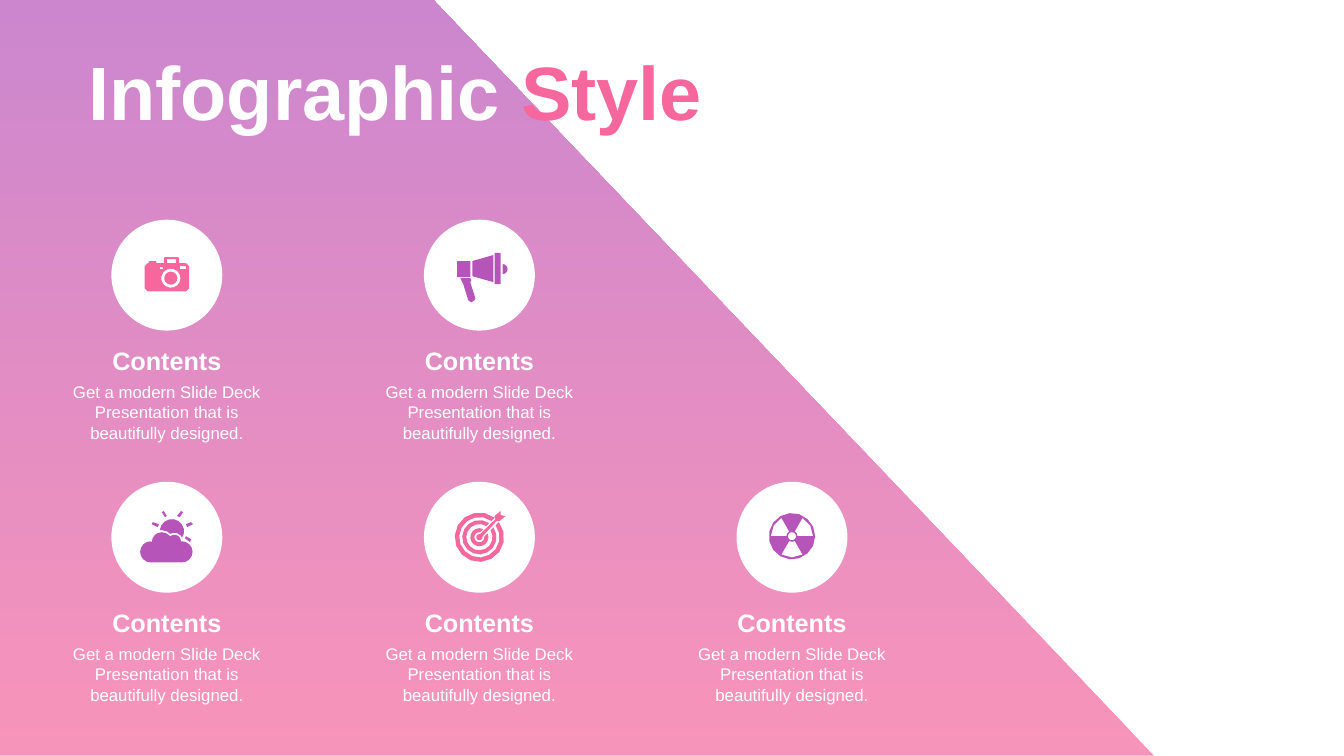
from math import asin, cos, degrees, radians, sin

from pptx import Presentation
from pptx.dml.color import RGBColor
from pptx.enum.shapes import MSO_SHAPE
from pptx.enum.text import MSO_ANCHOR, MSO_AUTO_SIZE as AUTO_SIZE, PP_ALIGN
from pptx.oxml.ns import qn
from pptx.util import Inches, Pt
from lxml.etree import SubElement

COLORS = {"pink": "F5679D", "purple": "B754BA", "white": "FFFFFF"}
TITLE_FONT = {"name": "Arial", "size": Pt(54), "bold": True}
HEADING_FONT = {"name": "Arial", "size": Pt(18), "bold": True}
BODY_FONT = {"name": "Arial", "size": Pt(12), "bold": False}
CAPTION_FRAME = {"word_wrap": True, "auto_size": AUTO_SIZE.SHAPE_TO_FIT_TEXT}
TITLE_FRAME = {"word_wrap": True, "vertical_anchor": MSO_ANCHOR.MIDDLE,
               "margin_top": Inches(0.15)}
BODY = "Get a modern Slide Deck Presentation that is beautifully designed."
LEFT, TOP, COLUMN_STEP, ROW_STEP = 0.46, 2.18, 3.1, 2.6
CAPTION_WIDTH, DISC = 2.39, 1.1
ARC_STEP = 24


def rgb(color):
    return RGBColor.from_string(COLORS[color])


def apply(target, formats):
    for key, value in formats.items():
        setattr(target, key, value)


# Outlines are lists of points in hundredths of an inch around an icon's centre.
def arc(cx, cy, radius, start=0, end=360):
    """Points along an arc, angles clockwise from the right."""
    steps = max(2, round(abs(end - start) / ARC_STEP))
    angles = [radians(start + (end - start) * i / steps) for i in range(steps + 1)]
    return [(cx + radius * cos(a), cy + radius * sin(a)) for a in angles]


def box(left, top, right, bottom):
    return [(left, top), (right, top), (right, bottom), (left, bottom)]


def radiation():
    sectors = [arc(0, -1, 21, a, a + 60) + arc(0, -1, 5.5, a + 60, a)
               for a in (60, 180, 300)]
    return [arc(0, -1, 23), *sectors, arc(0, -1, 4)]


def target():
    def gapped_arc(radius, direction):
        gap = degrees(asin(3 / radius))
        return arc(0, 0, radius, gap - 45, 315 - gap)[::direction]

    rings = [gapped_arc(outer, 1) + gapped_arc(inner, -1)
             for outer, inner in ((24.5, 20), (17, 13), (9, 5))]
    arrow = arc(0, 0, 3, -10, 280) + [
        (16, -18), (15, -21), (21, -26), (21, -22), (26, -21), (20, -16), (17, -16)]
    return [*rings, arrow]


def camera():
    body = [(-2, -18), (11, -18), (12, -17), (12, -12), (19, -12), (22, -9),
            (22, 13), (19, 16), (-19, 16), (-22, 13), (-22, -9), (-19, -12),
            (-18, -12), (-18, -14), (-11, -14), (-10, -12), (-3, -12), (-3, -17)]
    return [body, box(0, -16, 9, -12), box(13, -9, 19, -6), box(-7, -8, -4, -6),
            arc(4, 3, 9.5), arc(4, 3, 6.5)]


def megaphone():
    handle = [(-9, 3), (-8, 5), (-9, 7), (-4, 23), (-5, 25), (-8, 27), (-11, 25),
              (-16, 9), (-17, 7), (-19, 3)]
    horn = [(14, -20), (14, 7), (-7, 1), (-7, -14)]
    return [handle, horn, box(-22, -14, -9, 2), box(15, -22, 21, 9),
            arc(23, -6, 5, -90, 90)]


def weather():
    cloud = (arc(-16, 14.5, 10.5, 90, 270) + arc(-5, 5, 10, 180, 315)
             + arc(7.5, 4, 6.5, -130, 0) + arc(15, 14.5, 10.5, -90, 90))
    sun = (arc(5, -6, 12, 185, 395) + arc(7.5, 4, 8.5, -20, -120)
           + arc(-5, 5, 12, -40, -90))
    rays = [[(19, -1), (24, 2), (23, 5), (18, 1)],
            [(24, -15), (26, -13), (20, -10), (19, -13)],
            [(-14, -15), (-8, -13), (-9, -10), (-15, -13)],
            [(14, -26), (16, -25), (13, -20), (10, -21)],
            [(-3, -26), (0, -21), (-2, -20), (-5, -25)]]
    return [cloud, sun, *rays]


def draw_outlines(slide, outlines, x=0, y=0):
    """One freeform made of all outlines, its zero point at x, y."""
    outlines = [[(px * 10, py * 10) for px, py in points] for points in outlines]
    builder = slide.shapes.build_freeform(*outlines[0][0], scale=Inches(0.001))
    for points in outlines:
        if points is not outlines[0]:
            builder.move_to(*points[0])
        builder.add_line_segments(points[1:], close=True)
    return builder.convert_to_shape(Inches(x), Inches(y))


def paint(shape, color):
    shape.shadow.inherit = False
    shape.line.fill.background()
    shape.fill.solid()
    shape.fill.fore_color.rgb = rgb(color)


def add_text(slide, area, runs, font, frame_format, align):
    frame = slide.shapes.add_textbox(*map(Inches, area)).text_frame
    apply(frame, frame_format)
    paragraph = frame.paragraphs[0]
    paragraph.alignment = align
    for text, color in runs:
        run = paragraph.add_run()
        run.text = text
        apply(run.font, font)
        run.font.color.rgb = rgb(color)
    return paragraph


def add_backdrop(slide):
    backdrop = draw_outlines(slide, [[(0, 750), (1145, 750), (430, 0), (0, 0)]])
    backdrop.shadow.inherit = False
    backdrop.line.fill.background()
    backdrop.fill.gradient()
    backdrop.fill.gradient_angle = 90
    for stop, color in zip(backdrop.fill.gradient_stops, ("pink", "purple")):
        stop.color.rgb = rgb(color)
    for color_element in backdrop._element.spPr.iter(qn("a:srgbClr")):
        SubElement(color_element, qn("a:alpha"), val="70000")


def add_title(slide, area):
    runs = [("Infographic ", "white"), ("Style", "pink")]
    title = add_text(slide, area, runs, TITLE_FONT, TITLE_FRAME, PP_ALIGN.LEFT)
    title.line_spacing = 1.1


def add_content(slide, left, top, icon, color):
    """White disc with an icon, and a heading and text below."""
    disc_left = left + (CAPTION_WIDTH - DISC) / 2
    disc = slide.shapes.add_shape(
        MSO_SHAPE.OVAL, *map(Inches, (disc_left, top, DISC, DISC)))
    paint(disc, "white")
    paint(draw_outlines(slide, icon(), disc_left + DISC / 2, top + DISC / 2), color)
    for text, offset, height, font in (("Contents", 1.2, 0.4, HEADING_FONT),
                                       (BODY, 1.56, 0.71, BODY_FONT)):
        add_text(slide, (left, top + offset, CAPTION_WIDTH, height),
                 [(text, "white")], font, CAPTION_FRAME, PP_ALIGN.CENTER)


def main():
    deck = Presentation()
    deck.slide_width, deck.slide_height = Inches(13.33), Inches(7.5)
    slide = deck.slides.add_slide(deck.slide_layouts[6])
    add_backdrop(slide)
    rows = [[(camera, "pink"), (megaphone, "purple")],
            [(weather, "purple"), (target, "pink"), (radiation, "purple")]]
    for row, contents in enumerate(rows):
        for column, (icon, color) in enumerate(contents):
            add_content(slide, LEFT + column * COLUMN_STEP, TOP + row * ROW_STEP,
                        icon, color)
    add_title(slide, (0.78, 0.25, 8.17, 1.1))
    deck.save("out.pptx")


if __name__ == "__main__":
    main()
